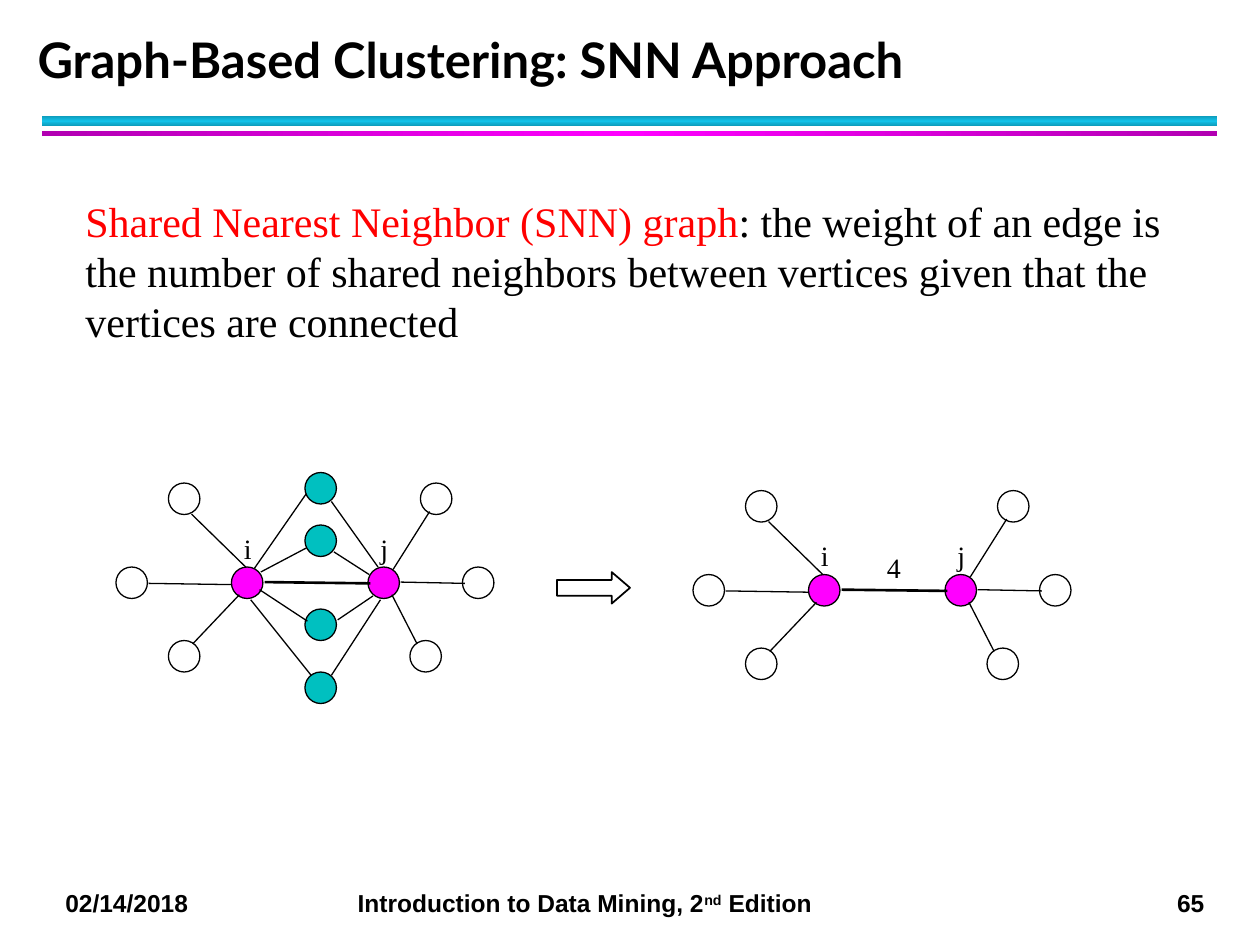
"""Build a slide on shared nearest neighbor graphs."""
from dataclasses import dataclass

from lxml.etree import SubElement
from pptx import Presentation
from pptx.dml.color import RGBColor
from pptx.enum.shapes import MSO_CONNECTOR, MSO_SHAPE
from pptx.enum.text import MSO_ANCHOR
from pptx.oxml.ns import qn
from pptx.util import Inches, Pt


@dataclass(frozen=True)
class Theme:
    black: str = "000000"
    red: str = "FF0000"
    vertex: str = "FF00FF"
    shared: str = "00C0C0"
    cyan_bar: tuple = ("0E9BBA", "12C2E9", "0E9BBA")
    magenta_bar: tuple = ("B200B2", "FF00FF", "B200B2")
    title_font: str = "Lato"
    body_font: str = "Times New Roman"
    footer_font: str = "Arial"
    title: int = 28
    body: int = 24
    label: int = 16
    footer: int = 14
    thin: float = 0.75
    outline: float = 1
    thick: float = 1.5


T = Theme()
UNIT = 1 / 12
NODE = 3 * UNIT

TITLE = "Graph-Based Clustering: SNN Approach"
BODY = [
    ("Shared Nearest Neighbor (SNN) graph", T.red),
    (": the weight of an edge is the number of shared neighbors between "
     "vertices given that the vertices are connected", T.black),
]
FOOTER = ["02/14/2018\tIntroduction to Data Mining, 2", "nd", " Edition\t65"]
FOOTER_TABS = [(2.32, "l"), (9.04, "r")]

BARS = [(0.92, 0.08, T.cyan_bar, 90), (1.04, 0.04, T.magenta_bar, 0)]

GRAPHS = [
    {"origin": (0.92, 3.75), "shared": True, "weight": None},
    {"origin": (5.5, 3.81), "shared": False, "weight": "4"},
]
VERTICES = {"i": (11, 9), "j": (24, 9)}
LABEL_RISE = 4
SHARED_NODES = [(18, 0), (18, 5), (18, 13), (18, 19)]
OUTER_NODES = [(5, 16), (0, 9), (5, 1), (29, 1), (28, 16), (33, 9)]
MAIN_EDGE = (1.18, 0.87, 2.02, 0.88)
WEIGHT_AT = (1.44, 0.51)
OUTER_EDGES = [
    (0.61, 1.36, 0.98, 0.97), (0.26, 0.88, 0.92, 0.89),
    (0.60, 0.33, 1.03, 0.75), (2.26, 0.87, 2.77, 0.88),
    (2.39, 1.36, 2.19, 0.97), (2.20, 0.77, 2.49, 0.31),
]
SHARED_EDGES = [
    (1.15, 0.79, 1.51, 0.60), (1.14, 0.93, 1.52, 1.18),
    (1.55, 1.61, 1.07, 1.01), (1.10, 0.76, 1.51, 0.17),
    (1.76, 1.17, 2.04, 0.98), (1.71, 1.61, 2.10, 1.01),
    (2.01, 0.81, 1.73, 0.63), (2.08, 0.75, 1.71, 0.23),
]


def rgb(color):
    return RGBColor.from_string(color)


def add_text(s, box, runs, font, size, bold=False, tabs=()):
    tb = s.shapes.add_textbox(*map(Inches, box))
    tf = tb.text_frame
    tf.word_wrap = True
    p = tf.paragraphs[0]
    if tabs:
        lst = SubElement(p._p.get_or_add_pPr(), qn("a:tabLst"))
        for pos, align in tabs:
            SubElement(lst, qn("a:tab"), pos=str(Inches(pos)), algn=align)
    for text, color in runs:
        r = p.add_run()
        r.text = text
        r.font.name, r.font.size, r.font.bold = font, Pt(size), bold
        r.font.color.rgb = rgb(color)
    return tf


def add_shape(s, kind, box, fill=None, width=T.thin):
    sp = s.shapes.add_shape(kind, *map(Inches, box))
    sp.shadow.inherit = False
    if fill:
        sp.fill.solid()
        sp.fill.fore_color.rgb = rgb(fill)
    else:
        sp.fill.background()
    sp.line.color.rgb = rgb(T.black)
    sp.line.width = Pt(width)
    return sp


def add_bar(s, top, height, colors, angle):
    sp = add_shape(s, MSO_SHAPE.RECTANGLE, (0.33, top, 9.33, height))
    sp.line.fill.background()
    sp.fill.gradient()
    sp.fill.gradient_angle = angle
    stops = sp._element.spPr.find(".//" + qn("a:gsLst"))
    stops.clear()
    for k, color in enumerate(colors):
        gs = SubElement(stops, qn("a:gs"), pos=str(k * 50000))
        SubElement(gs, qn("a:srgbClr"), val=color)


def add_edge(s, origin, edge, width=T.thin):
    x, y = origin
    x1, y1, x2, y2 = edge
    ends = map(Inches, (x + x1, y + y1, x + x2, y + y2))
    c = s.shapes.add_connector(MSO_CONNECTOR.STRAIGHT, *ends)
    c.line.color.rgb = rgb(T.black)
    c.line.width = Pt(width)
    SubElement(c._element.spPr, qn("a:effectLst"))


def add_graph(s, origin, shared, weight):
    x, y = origin
    groups = [(VERTICES.values(), T.vertex), (OUTER_NODES, None)]
    if shared:
        groups.append((SHARED_NODES, T.shared))
    for nodes, fill in groups:
        for col, row in nodes:
            box = (x + col * UNIT, y + row * UNIT, NODE, NODE)
            add_shape(s, MSO_SHAPE.OVAL, box, fill)
    for edge in OUTER_EDGES + (SHARED_EDGES if shared else []):
        add_edge(s, origin, edge)
    add_edge(s, origin, MAIN_EDGE, T.thick)
    labels = [(name, col * UNIT, (row - LABEL_RISE) * UNIT)
              for name, (col, row) in VERTICES.items()]
    if weight:
        labels.append((weight, *WEIGHT_AT))
    for text, dx, dy in labels:
        add_text(s, (x + dx, y + dy, 0.37, 0.37), [(text, T.black)],
                 T.body_font, T.label)


def main():
    prs = Presentation()
    prs.slide_width, prs.slide_height = Inches(10), Inches(7.5)
    s = prs.slides.add_slide(prs.slide_layouts[6])
    for bar in BARS:
        add_bar(s, *bar)
    tf = add_text(s, (0.42, 7, 9.33, 0.34), [(t, T.black) for t in FOOTER],
                  T.footer_font, T.footer, True, FOOTER_TABS)
    tf.paragraphs[0].runs[1]._r.get_or_add_rPr().set("baseline", "30000")
    for graph in GRAPHS:
        add_graph(s, **graph)
    add_text(s, (0.58, 1.5, 8.83, 1.3), BODY, T.body_font, T.body)
    tf = add_text(s, (0.2, 0.17, 9.45, 0.58), [(TITLE, T.black)],
                  T.title_font, T.title, True)
    tf.vertical_anchor = MSO_ANCHOR.BOTTOM
    tf.paragraphs[0].line_spacing = Pt(36)
    arrow = add_shape(s, MSO_SHAPE.RIGHT_ARROW, (4.42, 4.54, 0.58, 0.25),
                      width=T.outline)
    arrow.adjustments[1] = 0.58
    prs.save("out.pptx")


if __name__ == "__main__":
    main()
